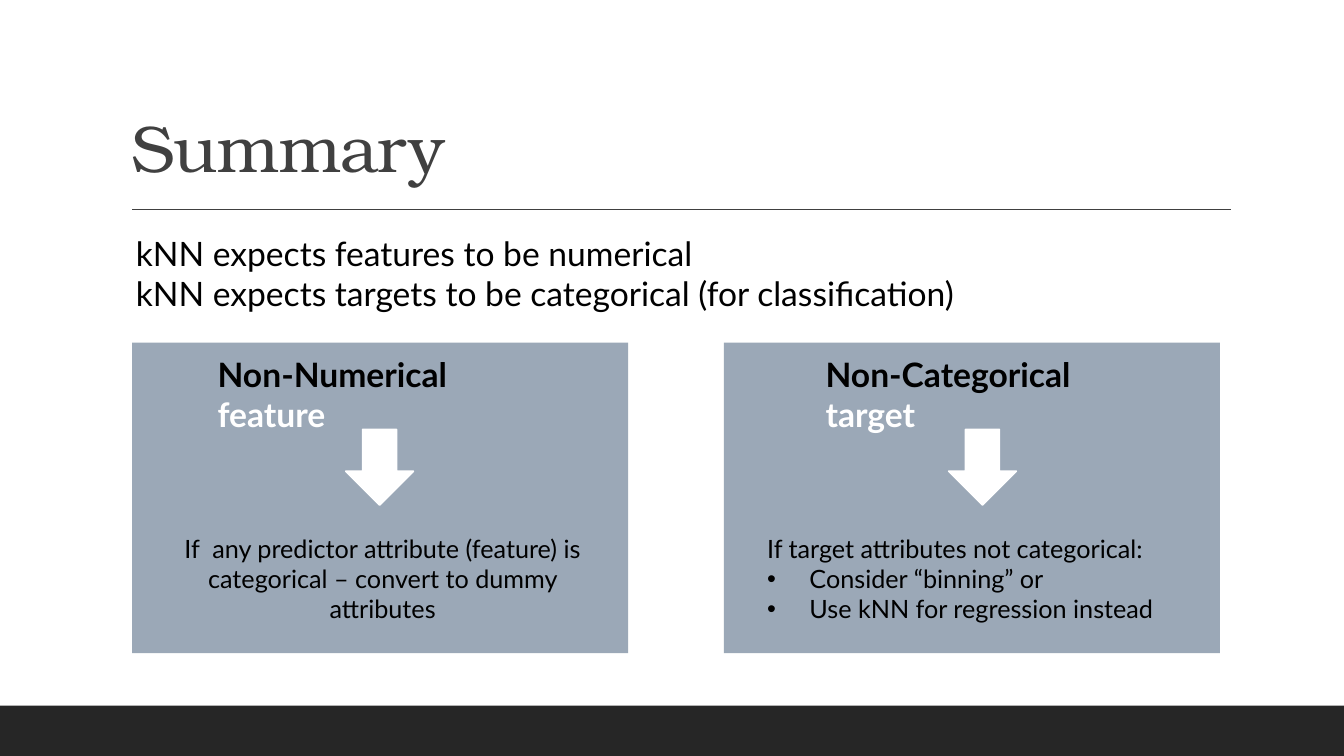
from dataclasses import dataclass

from lxml.etree import SubElement
from pptx import Presentation
from pptx.dml.color import RGBColor
from pptx.enum.shapes import MSO_CONNECTOR, MSO_SHAPE
from pptx.enum.text import MSO_ANCHOR, MSO_AUTO_SIZE, PP_ALIGN
from pptx.oxml.ns import qn
from pptx.util import Inches, Pt

BODY_FONT, TITLE_FONT = "Lato", "TeX Gyre Bonum"
BLACK, WHITE, CHARCOAL, GRAY, PANEL = "000000", "FFFFFF", "262626", "404040", "9BA8B7"


@dataclass
class Panel:
    left: float
    heading: tuple[str, str]
    heading_left: float
    heading_width: float
    arrow_left: float
    note_left: float
    note: list[str]
    bullets: list[str]
    align: PP_ALIGN


PANELS = [
    Panel(1.31, ("Non-Numerical ", "feature"), 2.06, 3.42, 3.43, 1.54,
          ["If  any predictor attribute (feature) is categorical – convert to dummy attributes"],
          [], PP_ALIGN.CENTER),
    Panel(7.18, ("Non-Categorical ", "target"), 8.09, 3.37, 9.41, 7.51,
          ["If target attributes not categorical:"],
          ["Consider “binning” or", "Use kNN for regression instead"], PP_ALIGN.LEFT),
]


def rgb(color: str) -> RGBColor:
    return RGBColor.from_string(color)


def add_run(p, text: str, *, size=24, color=BLACK, font=BODY_FONT, bold=False):
    r = p.add_run()
    r.text = text
    r.font.size, r.font.name, r.font.bold = Pt(size), font, bold
    r.font.color.rgb = rgb(color)
    return r


def add_bullet(p) -> None:
    pPr = p._p.get_or_add_pPr()
    pPr.set("marL", str(Inches(0.42)))
    pPr.set("indent", str(Inches(-0.42)))
    SubElement(pPr, qn("a:buFont")).set("typeface", "Arial")
    SubElement(pPr, qn("a:buChar")).set("char", "•")


def add_text(slide, box, lines, *, bullets=(), align=PP_ALIGN.LEFT, **fmt):
    """Each line is a list of (text, color) runs; bullets are plain strings."""
    tf = slide.shapes.add_textbox(*map(Inches, box)).text_frame
    tf.word_wrap = True
    rows = [(line, False) for line in lines]
    rows += [([(text, BLACK)], True) for text in bullets]
    for i, (runs, bulleted) in enumerate(rows):
        p = tf.add_paragraph() if i else tf.paragraphs[0]
        p.alignment = align
        if bulleted:
            add_bullet(p)
        for text, color in runs:
            add_run(p, text, color=color, **fmt)


def add_block(slide, kind: MSO_SHAPE, box, fill: str, line: str | None = None) -> None:
    sp = slide.shapes.add_shape(kind, *map(Inches, box))
    sp.shadow.inherit = False
    sp.fill.solid()
    sp.fill.fore_color.rgb = rgb(fill)
    if line:
        sp.line.color.rgb = rgb(line)
        sp.line.width = Pt(1.25)
    else:
        sp.line.fill.background()


def add_rule(slide, left: float, right: float, y: float) -> None:
    line = slide.shapes.add_connector(
        MSO_CONNECTOR.STRAIGHT, Inches(left), Inches(y), Inches(right), Inches(y))
    line.line.color.rgb = rgb(GRAY)
    line.line.width = Pt(1)
    SubElement(line._element.spPr, qn("a:effectLst"))


def add_title(slide, text: str) -> None:
    title = slide.shapes.title
    title.left, title.top, title.width, title.height = map(Inches, (1.2, 0.31, 11, 1.59))
    tf = title.text_frame
    tf.auto_size = MSO_AUTO_SIZE.NONE
    tf.vertical_anchor = MSO_ANCHOR.BOTTOM
    p = tf.paragraphs[0]
    p.alignment, p.line_spacing = PP_ALIGN.LEFT, 0.9
    r = add_run(p, text, size=47, color=GRAY, font=TITLE_FONT)
    r.font._element.set("spc", "-50")


def add_panel(slide, panel: Panel) -> None:
    add_block(slide, MSO_SHAPE.RECTANGLE, (panel.left, 3.4, 4.92, 3.08), PANEL)
    add_text(slide, (panel.heading_left, 3.46, panel.heading_width, 0.5),
             [list(zip(panel.heading, (BLACK, WHITE)))], bold=True)
    add_text(slide, (panel.note_left, 5.24, 4.51, 1.01),
             [[(text, BLACK)] for text in panel.note],
             bullets=panel.bullets, align=panel.align, size=18)
    add_block(slide, MSO_SHAPE.DOWN_ARROW, (panel.arrow_left, 4.26, 0.67, 0.75), WHITE, WHITE)


def main() -> None:
    prs = Presentation()
    prs.slide_width, prs.slide_height = Inches(13.33), Inches(7.5)
    slide = prs.slides.add_slide(prs.slide_layouts[5])

    # Footer band, title and rule
    add_block(slide, MSO_SHAPE.RECTANGLE, (0, 7, 13.33, 0.5), CHARCOAL)
    add_rule(slide, 1.31, 12.21, 2.08)
    add_title(slide, "Summary")

    # Expectations of the method
    add_text(slide, (1.25, 2.26, 11.87, 0.91), [
        [("kNN expects features to be numerical", BLACK)],
        [("kNN expects targets to be categorical (for classification)", BLACK)],
    ])

    # What to do when an expectation is not met
    for panel in PANELS:
        add_panel(slide, panel)

    prs.save("out.pptx")


if __name__ == "__main__":
    main()
